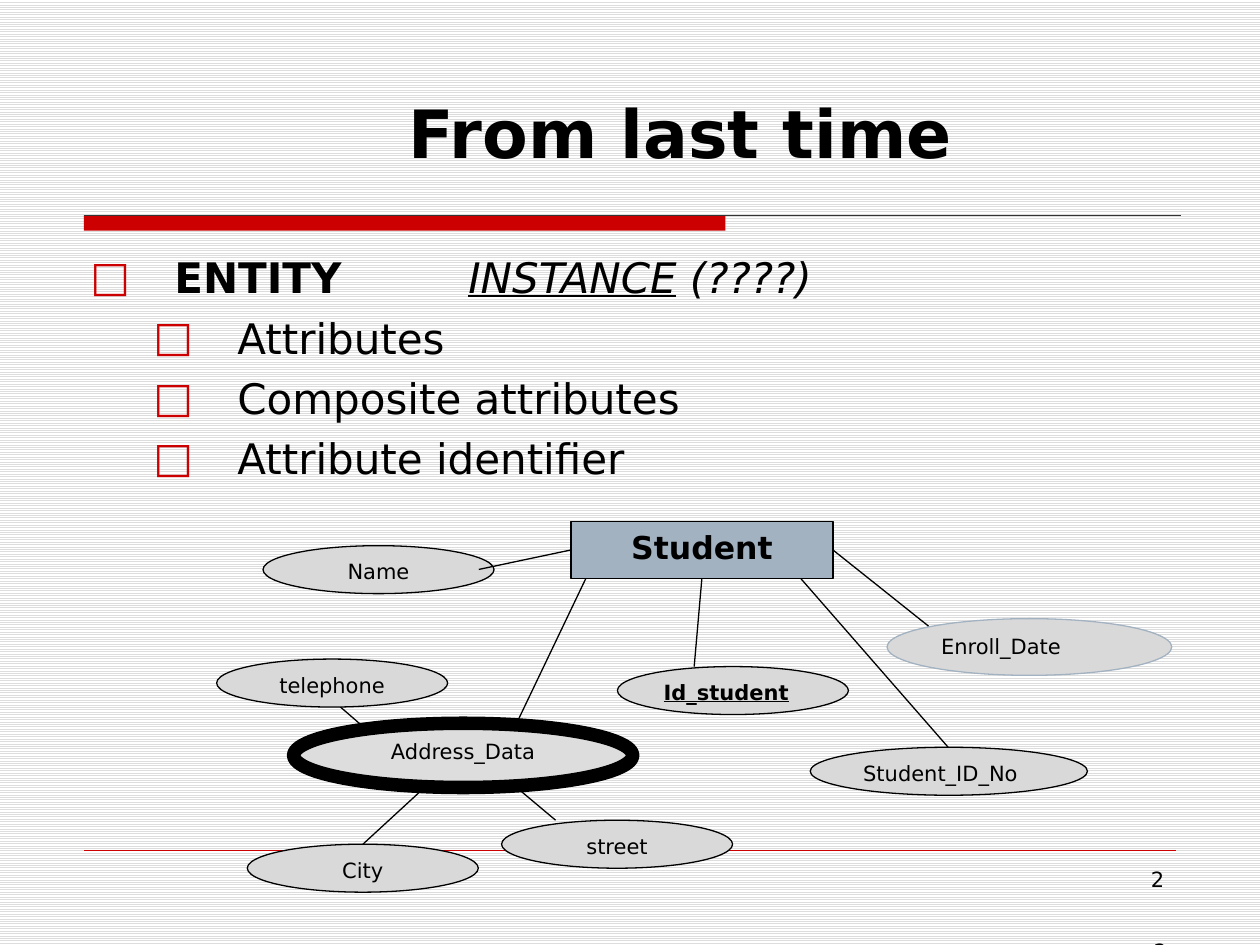
"""Build the "From last time" slide with an entity and attributes diagram."""
from lxml import etree
from pptx import Presentation
from pptx.dml.color import RGBColor
from pptx.enum.dml import MSO_PATTERN
from pptx.enum.shapes import MSO_CONNECTOR, MSO_SHAPE
from pptx.enum.text import MSO_ANCHOR, PP_ALIGN
from pptx.oxml.ns import qn
from pptx.util import Pt

LEFT, CENTER, RIGHT = PP_ALIGN.LEFT, PP_ALIGN.CENTER, PP_ALIGN.RIGHT
TOP, BOTTOM = MSO_ANCHOR.TOP, MSO_ANCHOR.BOTTOM
RECT, OVAL = MSO_SHAPE.RECTANGLE, MSO_SHAPE.OVAL
STRAIGHT, STRIPES = MSO_CONNECTOR.STRAIGHT, MSO_PATTERN.LIGHT_HORIZONTAL

FONT = "DejaVu Sans"
C = {"black": "000000", "white": "FFFFFF", "red": "CC0000", "rule": "333333",
     "blue": "A3B2C1", "gray": "D9D9D9", "stripe": "DDDDDD"}

TITLE = "From last time"
BULLETS = [
    (0, [("ENTITY\t\t\t", {"bold": True}),
         ("INSTANCE", {"italic": True, "underline": True}),
         (" (????)\t", {"italic": True})]),
    (1, [("Attributes", {})]),
    (1, [("Composite attributes", {})]),
    (1, [("Attribute identifier", {})]),
]
PAGE_NUMBER = "2"
NUMBER_BOXES = [(516.2, 491.8), (517.7, 532.8)]

ENTITY = ("Student", (326.2, 298.1, 149.8, 32.4))
OVAL_SIZE = (132, 27.4)
ATTRIBUTES = [
    ("Id_student", (352.8, 380.9, *OVAL_SIZE), LEFT, {"bold": True, "underline": True}),
    ("Name", (150.3, 311.8, *OVAL_SIZE), CENTER, {}),
    ("Student_ID_No", (463, 427, 158.4, 27.4), LEFT, {}),
    ("Enroll_Date", (506.9, 353.5, 162.7, 32.4), LEFT, {}),
    ("Address_Data", (167.8, 413.3, 193.7, 36.7), CENTER, {}),
    ("City", (141.3, 482.4, *OVAL_SIZE), CENTER, {}),
    ("street", (286.6, 468.7, *OVAL_SIZE), CENTER, {}),
    ("telephone", (123.8, 376.6, *OVAL_SIZE), CENTER, {}),
]
OVAL_STYLES = {"Enroll_Date": ("gray", "blue", 0.75),
               "Address_Data": ("stripe", "black", 7.75)}
PLAIN_OVAL = ("gray", "black", 0.75)

LOOSE_LINES = [
    (449.3, 321.1, 541.8, 427),
    (194.4, 403.9, 216, 422.6),
    (295.2, 450, 317.5, 468.7),
    (242.6, 450, 207.4, 482.4),
    (334.8, 330.5, 295.2, 413.3),
]
ENTITY_LINES = [(1, 273.6, 325.4), (2, 396.7, 380.9), (3, 530.6, 357.8)]


def rgb(name):
    return RGBColor.from_string(C[name])


def style(font, size, **options):
    font.name, font.size, font.color.rgb = FONT, Pt(size), rgb("black")
    for name, value in options.items():
        setattr(font, name, value)


def add_line(s, ends, color="black", width=0.75):
    line = s.shapes.add_connector(STRAIGHT, *map(Pt, ends))
    line.line.color.rgb, line.line.width = rgb(color), Pt(width)
    etree.SubElement(line._element.spPr, qn("a:effectLst"))
    return line


def add_shape(s, kind, box, fill, outline=None, width=0.75):
    sp = s.shapes.add_shape(kind, *map(Pt, box))
    sp.shadow.inherit = False
    sp.fill.solid()
    sp.fill.fore_color.rgb = rgb(fill)
    if outline:
        sp.line.color.rgb, sp.line.width = rgb(outline), Pt(width)
    else:
        sp.line.fill.background()
    return sp


def set_text(sp, text, size, align, anchor=TOP, **options):
    tf = sp.text_frame
    tf.word_wrap, tf.vertical_anchor, tf.text = True, anchor, text
    p = tf.paragraphs[0]
    p.alignment = align
    style(p.runs[0].font, size, **options)


def add_text(s, box, *args, **options):
    set_text(s.shapes.add_textbox(*map(Pt, box)), *args, **options)


def add_bullets(s, box):
    tf = s.shapes.add_textbox(*map(Pt, box)).text_frame
    tf.word_wrap = True
    for i, (level, runs) in enumerate(BULLETS):
        p = tf.paragraphs[0] if i == 0 else tf.add_paragraph()
        p.level = level
        if i:
            p.space_before = Pt(5.6)
        pPr = p._p.get_or_add_pPr()
        pPr.set("marL", str(Pt(48 + 36 * level)))
        pPr.set("indent", str(-Pt(48)))
        color = etree.SubElement(pPr, qn("a:buClr"))
        etree.SubElement(color, qn("a:srgbClr"), val=C["red"])
        etree.SubElement(pPr, qn("a:buFont"), typeface=FONT)
        etree.SubElement(pPr, qn("a:buChar"), char="□")
        for text, options in runs:
            r = p.add_run()
            r.text = text
            style(r.font, 24, **options)


def add_diagram(s):
    for ends in LOOSE_LINES:
        add_line(s, ends)
    name, box = ENTITY
    entity = add_shape(s, RECT, box, "blue", "black")
    set_text(entity, name, 18, CENTER, bold=True)
    for name, box, align, options in ATTRIBUTES:
        oval = add_shape(s, OVAL, box, *OVAL_STYLES.get(name, PLAIN_OVAL))
        set_text(oval, name, 12, align, **options)
    for side, x, y in ENTITY_LINES:
        add_line(s, (x, y, x, y)).begin_connect(entity, side)


def main():
    prs = Presentation()
    prs.slide_width, prs.slide_height = Pt(720), Pt(540)
    s = prs.slides.add_slide(prs.slide_layouts[6])
    background = s.background.fill
    background.patterned()
    background.pattern = STRIPES
    background.fore_color.rgb, background.back_color.rgb = rgb("stripe"), rgb("white")

    add_shape(s, RECT, (48, 123.1, 366.5, 8.7), "red")
    add_line(s, (48, 123.1, 674.6, 123.1), "rule")
    add_line(s, (48, 486, 672, 486), "red", 0.25)
    add_text(s, (50.4, 49.7, 676.8, 51.8), TITLE, 38, CENTER, BOTTOM, bold=True)
    add_bullets(s, (44.6, 140.4, 671.8, 101.5))
    for x, y in NUMBER_BOXES:
        add_text(s, (x, y, 156.2, 37.4), PAGE_NUMBER, 12, RIGHT)
    add_diagram(s)
    prs.save("out.pptx")


if __name__ == "__main__":
    main()
